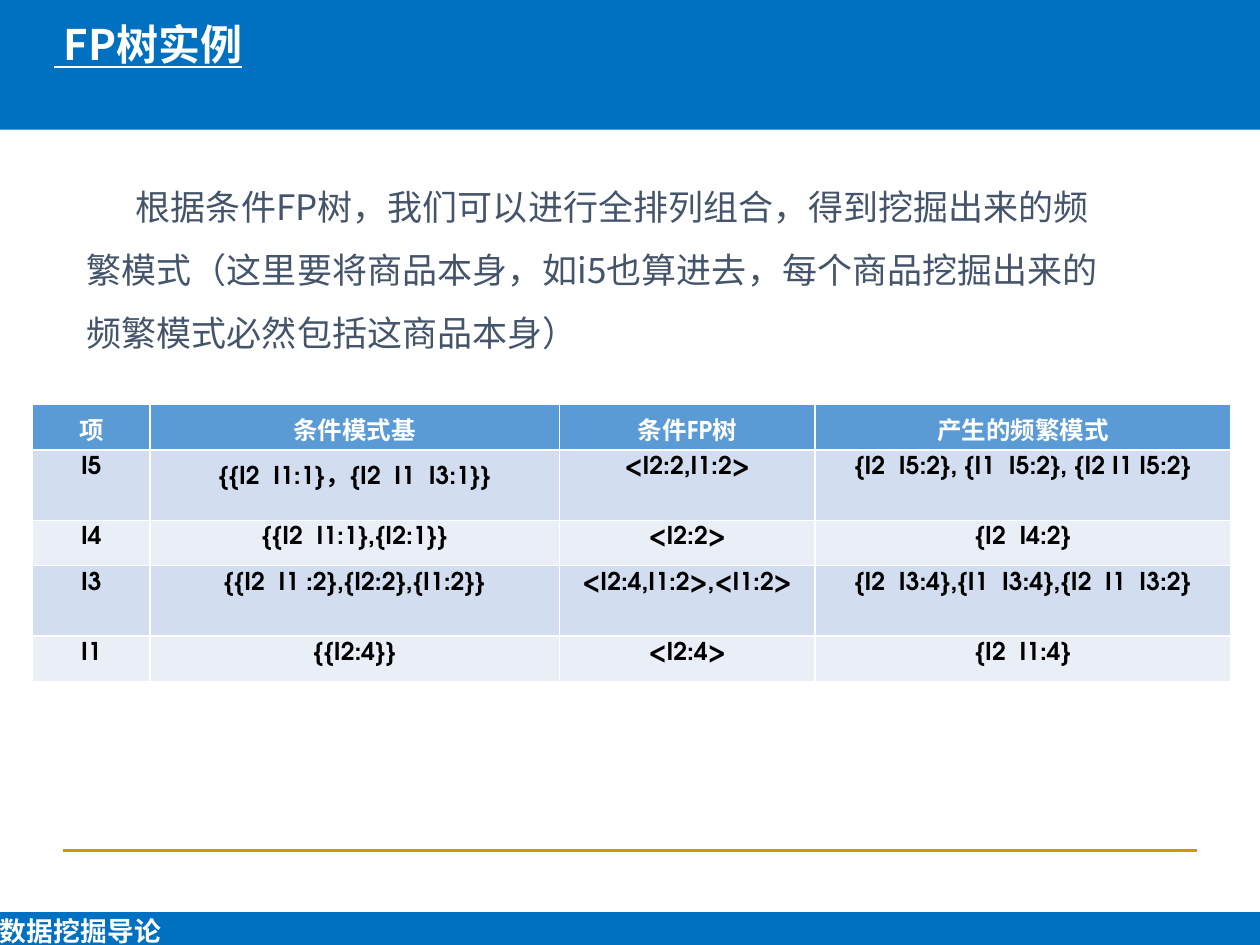
"""Build a slide on the frequent patterns mined from a conditional FP tree."""
from pptx import Presentation
from pptx.dml.color import RGBColor
from pptx.enum.shapes import MSO_CONNECTOR, MSO_SHAPE
from pptx.enum.text import MSO_ANCHOR, PP_ALIGN
from pptx.oxml.ns import qn
from pptx.util import Inches, Pt
from lxml import etree

RECTANGLE = MSO_SHAPE.RECTANGLE
STRAIGHT = MSO_CONNECTOR.STRAIGHT
TOP, MIDDLE = MSO_ANCHOR.TOP, MSO_ANCHOR.MIDDLE
LEFT, CENTER = PP_ALIGN.LEFT, PP_ALIGN.CENTER
SANS, GEOMETRIC = "Noto Sans CJK SC", "TeX Gyre Adventor"
BLUE, WHITE = "0070C0", "FFFFFF"


def color(value):
    return RGBColor.from_string(value)


def write(frame, text, size, text_color, bold=True, latin=SANS, align=LEFT):
    frame.word_wrap = True
    paragraph = frame.paragraphs[0]
    paragraph.text = text
    paragraph.alignment = align
    font = paragraph.font
    font.name, font.size, font.bold = latin, Pt(size), bold
    font.color.rgb = color(text_color)
    properties = paragraph._p.get_or_add_pPr().find(qn("a:defRPr"))
    etree.SubElement(properties, qn("a:ea")).set("typeface", SANS)
    return paragraph


presentation = Presentation()
presentation.slide_width, presentation.slide_height = Inches(10), Inches(7.5)
slide = presentation.slides.add_slide(presentation.slide_layouts[5])
shapes = slide.shapes

rule = shapes.add_connector(STRAIGHT, Inches(0.5), Inches(6.75), Inches(9.5), Inches(6.75))
rule.line.color.rgb = color("CC9900")
rule.line.width = Pt(1.5)
etree.SubElement(rule._element.spPr, qn("a:effectLst"))

for top, height in [(-0.02, 1.05), (7.24, 0.26)]:
    band = shapes.add_shape(RECTANGLE, 0, Inches(top), Inches(10), Inches(height))
    band.shadow.inherit = False
    band.fill.solid()
    band.fill.fore_color.rgb = color(BLUE)
    band.line.fill.background()

footer = shapes.add_textbox(0, Inches(7.24), Inches(1.94), Inches(0.29)).text_frame
footer.margin_left = footer.margin_right = footer.margin_top = footer.margin_bottom = 0
footer.vertical_anchor = MIDDLE
write(footer, "数据挖掘导论", 15.3, WHITE)

title = shapes.title
title.left, title.top, title.width, title.height = map(Inches, (0.33, 0.1, 6.56, 0.83))
title.text_frame.vertical_anchor = TOP
write(title.text_frame, " FP树实例", 24, WHITE).font.underline = True
title.element.getparent().append(title.element)

body = shapes.add_textbox(Inches(0.59), Inches(1.26), Inches(8.43), Inches(1.61))
explanation = write(
    body.text_frame,
    "根据条件FP树，我们可以进行全排列组合，得到挖掘出来的频繁模式"
    "（这里要将商品本身，如i5也算进去，每个商品挖掘出来的频繁模式必然包括这商品本身）",
    20, "44546A", bold=False)
explanation.line_spacing = 1.5
explanation._p.pPr.set("indent", str(Inches(0.39)))

rows = [
    ("项", "条件模式基", "条件FP树", "产生的频繁模式"),
    ("I5", "{{I2  I1:1}，{I2  I1  I3:1}}", "<I2:2,I1:2>", "{I2  I5:2}, {I1  I5:2}, {I2 I1 I5:2}"),
    ("I4", "{{I2  I1:1},{I2:1}}", "<I2:2>", "{I2  I4:2}"),
    ("I3", "{{I2  I1 :2},{I2:2},{I1:2}}", "<I2:4,I1:2>,<I1:2>", "{I2  I3:4},{I1  I3:4},{I2  I1  I3:2}"),
    ("I1", "{{I2:4}}", "<I2:4>", "{I2  I1:4}"),
]
row_heights = [0.36, 0.56, 0.36, 0.56, 0.36]
column_widths = [0.93, 3.25, 2.03, 3.3]
table = shapes.add_table(len(rows), len(column_widths), Inches(0.26), Inches(3.21),
                         Inches(sum(column_widths)), Inches(sum(row_heights))).table
for column, width in zip(table.columns, column_widths):
    column.width = Inches(width)
for row_index, (texts, height) in enumerate(zip(rows, row_heights)):
    table.rows[row_index].height = Inches(height)
    is_header = row_index == 0
    fill = "5B9BD5" if is_header else ("EAEFF7", "D2DEEF")[row_index % 2]
    for column_index, text in enumerate(texts):
        cell = table.cell(row_index, column_index)
        cell.margin_left = cell.margin_right = cell.margin_top = cell.margin_bottom = Inches(0.05)
        cell.fill.solid()
        cell.fill.fore_color.rgb = color(fill)
        write(cell.text_frame, text, 14, WHITE if is_header else "000000",
              latin=GEOMETRIC, align=CENTER)

presentation.save("out.pptx")
